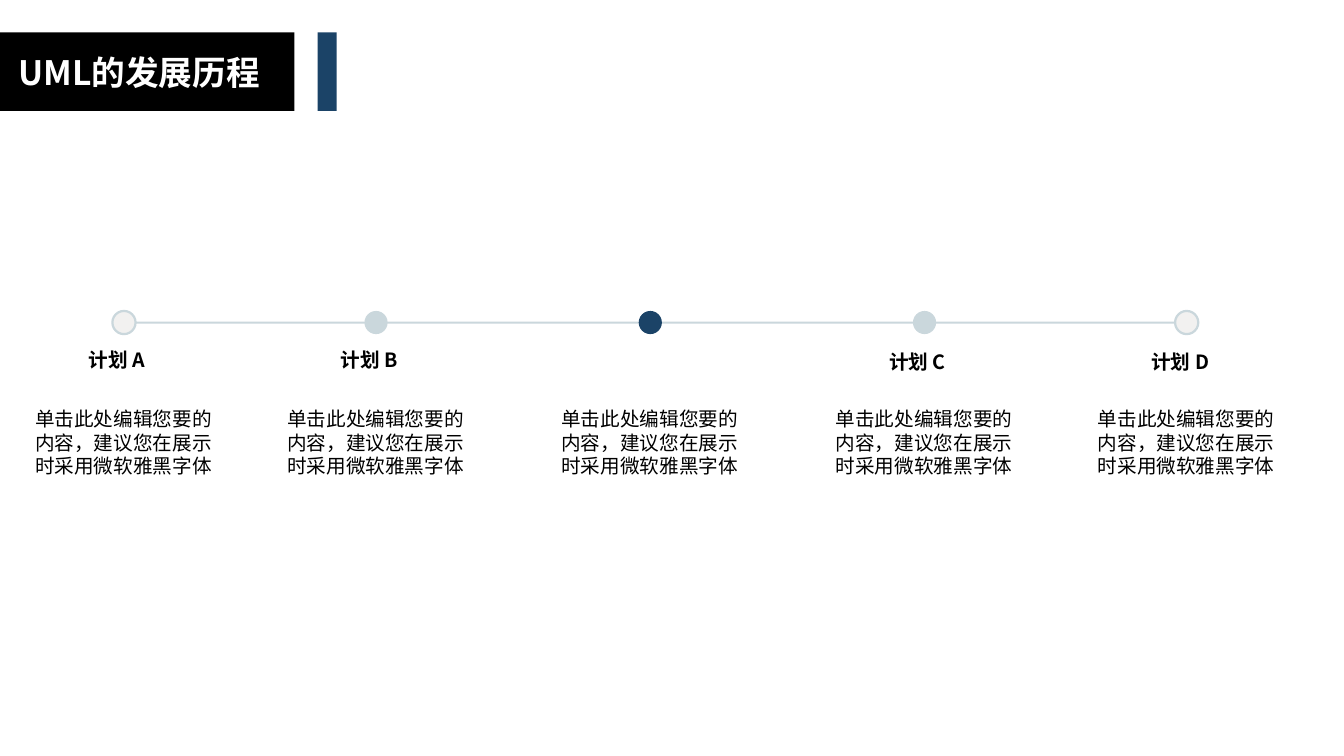
from pptx import Presentation
from pptx.dml.color import RGBColor
from pptx.enum.shapes import MSO_SHAPE as Shape
from pptx.enum.text import MSO_ANCHOR as Anchor, MSO_AUTO_SIZE as AutoSize, PP_ALIGN as Align
from pptx.oxml.ns import qn
from pptx.util import Inches, Pt
from lxml.etree import SubElement

FONT = "Noto Sans CJK SC"
NAVY, MIST, PEARL, BLACK, WHITE = "1B4367", "CAD7DC", "F2F1F0", "000000", "FFFFFF"
BODY = "单击此处编辑您要的内容，建议您在展示时采用微软雅黑字体"
AXIS_Y, DOT = 3.2, 0.23
STAGES = [
    (1.23, PEARL, "计划 A", 3.4),
    (3.73, MIST, "计划 B", 3.4),
    (6.45, NAVY, None, None),
    (9.17, MIST, "计划 C", 3.42),
    (11.77, PEARL, "计划 D", 3.42),
]


def rgb(color):
    """Turn a hex string into a colour."""
    return RGBColor.from_string(color)


def add_block(slide, preset, left, top, width, height, color, outline=None):
    """Add a filled preset shape, outlined only on request."""
    block = slide.shapes.add_shape(
        preset, Inches(left), Inches(top), Inches(width), Inches(height))
    block.shadow.inherit = False
    block.fill.solid()
    block.fill.fore_color.rgb = rgb(color)
    if outline:
        block.line.color.rgb = rgb(outline)
        block.line.width = Pt(1.6)
    else:
        block.line.fill.background()


def write(frame, words, size, color, bold=False, align=Align.LEFT):
    """Fill a text frame with one formatted paragraph."""
    frame.word_wrap = True
    frame.auto_size = AutoSize.NONE
    frame.vertical_anchor = Anchor.TOP
    frame.text = words
    paragraph = frame.paragraphs[0]
    paragraph.alignment = align
    font = paragraph.font
    font.size, font.bold, font.name = Pt(size), bold, FONT
    font.color.rgb = rgb(color)
    defaults = paragraph._p.pPr.find(qn("a:defRPr"))
    SubElement(defaults, qn("a:ea")).set("typeface", FONT)


def add_text(slide, left, top, width, height, words, **style):
    """Add a 14 point black text box."""
    box = slide.shapes.add_textbox(
        Inches(left), Inches(top), Inches(width), Inches(height))
    write(box.text_frame, words, 14, BLACK, **style)


def add_heading(slide):
    """Draw the banner and set the title on top of it."""
    add_block(slide, Shape.RECTANGLE, 0, 0.32, 2.92, 0.78, BLACK)
    add_block(slide, Shape.RECTANGLE, 3.15, 0.32, 0.19, 0.78, NAVY)
    title = slide.shapes.title
    title.left, title.top = Inches(0), Inches(0.46)
    title.width, title.height = Inches(2.76), Inches(0.5)
    write(title.text_frame, "UML的发展历程", 24, WHITE, bold=True, align=Align.CENTER)
    title.element.getparent().append(title.element)


def add_stage(slide, center, color, label, label_top):
    """Add one timeline dot with its label and description."""
    add_block(slide, Shape.OVAL, center - DOT / 2, AXIS_Y - DOT / 2, DOT, DOT,
              color, MIST if color == PEARL else None)
    if label:
        add_text(slide, center - 0.45, label_top, 0.92, 0.34, label, bold=True)
    add_text(slide, center - 1.03, 3.99, 2.05, 0.81, BODY, align=Align.CENTER)


def main():
    """Build the timeline slide."""
    deck = Presentation()
    deck.slide_width, deck.slide_height = Inches(13.33), Inches(7.5)
    slide = deck.slides.add_slide(deck.slide_layouts[5])
    first, last = STAGES[0][0], STAGES[-1][0]
    add_block(slide, Shape.RECTANGLE, first + DOT / 2, AXIS_Y - 0.01,
              last - first - DOT, 0.02, MIST)
    for stage in STAGES:
        add_stage(slide, *stage)
    add_heading(slide)
    deck.save("out.pptx")


if __name__ == "__main__":
    main()
